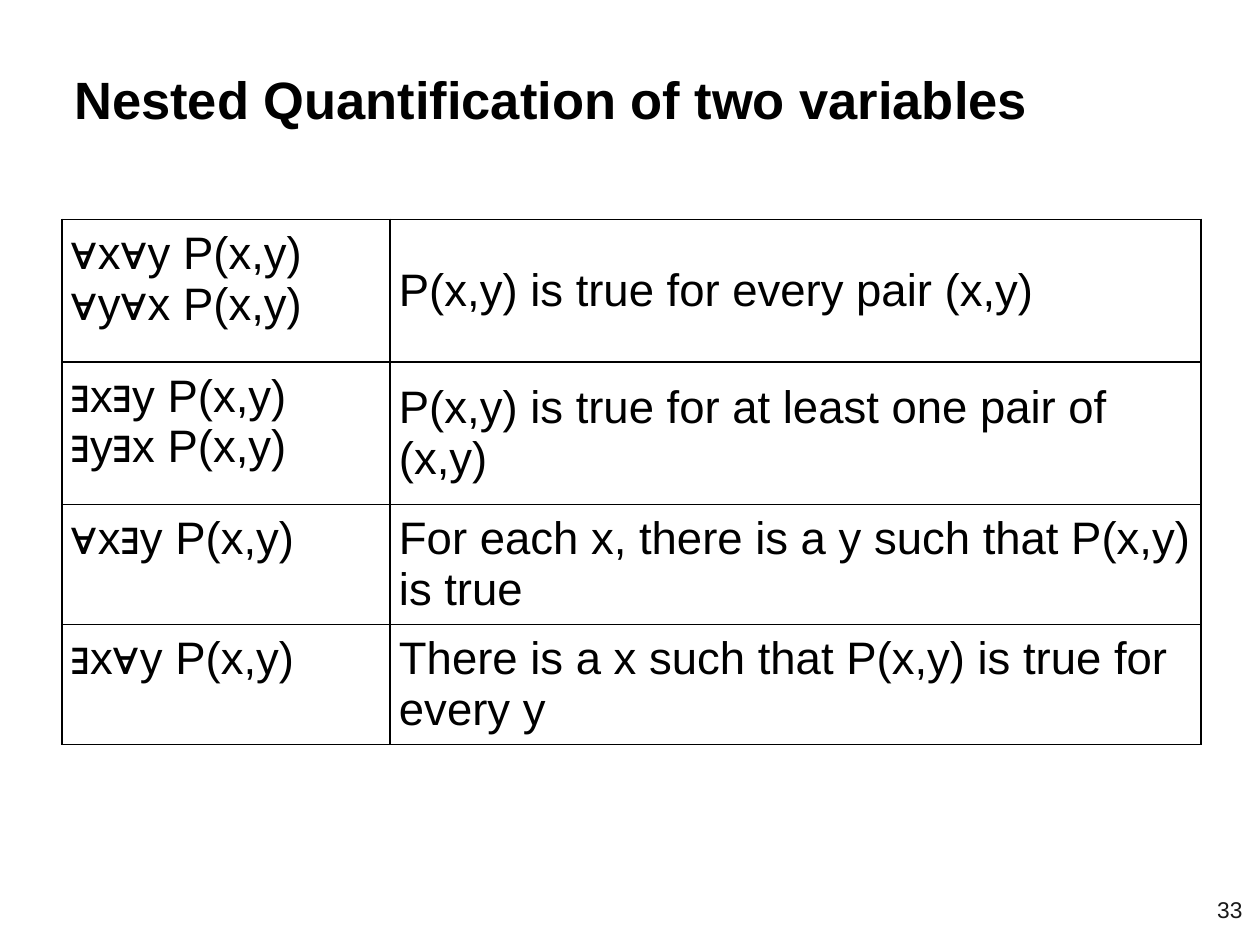
import pptx
import pptx.dml.color
import pptx.enum.text
import pptx.oxml
import pptx.oxml.ns
import pptx.util
from pptx.util import Pt

BLACK = pptx.dml.color.RGBColor(0x00, 0x00, 0x00)
DARK_GRAY = pptx.dml.color.RGBColor(0x19, 0x19, 0x19)
MIDDLE = pptx.enum.text.MSO_ANCHOR.MIDDLE
TOP = pptx.enum.text.MSO_ANCHOR.TOP


def add_run(paragraph, text, size, color, bold=False):
    run = paragraph.add_run()
    run.text = text
    run.font.name = "Arial"
    run.font.size = Pt(size)
    run.font.bold = bold
    run.font.color.rgb = color


def add_text_box(left, top, width, height, anchor):
    text_frame = slide.shapes.add_textbox(Pt(left), Pt(top), Pt(width), Pt(height)).text_frame
    text_frame.word_wrap = True
    text_frame.vertical_anchor = anchor
    text_frame.margin_left = text_frame.margin_right = Pt(7.2)
    text_frame.margin_top = text_frame.margin_bottom = Pt(7.2)
    return text_frame.paragraphs[0]


presentation = pptx.Presentation()
presentation.slide_width = Pt(720)
presentation.slide_height = Pt(540)
slide = presentation.slides.add_slide(presentation.slide_layouts[6])

rows = [
    (81.5, MIDDLE, [["∀x∀y P(x,y)"], ["∀y∀x P(x,y)"]], "P(x,y) is true for every pair (x,y)"),
    (81.5, MIDDLE, [["∃", "x", "∃", "y P(x,y)"], ["∃", "y", "∃", "x P(x,y)"]],
     "P(x,y) is true for at least one pair of (x,y)"),
    (51, TOP, [["∀x", "∃", "y P(x,y)"]], "For each x, there is a y such that P(x,y) is true"),
    (51, TOP, [["∃", "x∀y P(x,y)"]], "There is a x such that P(x,y) is true for every y"),
]
column_widths = [187.5, 463.5]
table = slide.shapes.add_table(
    len(rows), 2, Pt(35.3), Pt(125.3), Pt(sum(column_widths)), Pt(sum(row[0] for row in rows))
).table
table.first_row = False
table.horz_banding = False
for column, width in zip(table.columns, column_widths):
    column.width = Pt(width)

for row_index, (height, anchor, formulas, meaning) in enumerate(rows):
    table.rows[row_index].height = Pt(height)
    for column_index, lines in enumerate([formulas, [[meaning]]]):
        cell = table.cell(row_index, column_index)
        cell.fill.background()
        cell.vertical_anchor = anchor if column_index else TOP
        cell.margin_left = cell.margin_right = Pt(5.2)
        cell.margin_top = cell.margin_bottom = Pt(5.2)
        for line_index, line in enumerate(lines):
            text_frame = cell.text_frame
            paragraph = text_frame.add_paragraph() if line_index else text_frame.paragraphs[0]
            for text in line:
                add_run(paragraph, text, 26, BLACK, text == "∃")
        properties = cell._tc.get_or_add_tcPr()
        for position, side in enumerate(["lnL", "lnR", "lnT", "lnB"]):
            border = pptx.oxml.parse_xml(
                f'<a:{side} {pptx.oxml.ns.nsdecls("a")} w="{Pt(1)}"><a:solidFill>'
                f'<a:srgbClr val="{BLACK}"/></a:solidFill></a:{side}>'
            )
            properties.insert(position, border)

title = add_text_box(35.3, 26, 649.5, 67, TOP)
title.line_spacing = 1.15
add_run(title, "Nested Quantification of two variables", 30, BLACK, True)

page_number = add_text_box(674, 499, 43, 41, MIDDLE)
page_number.alignment = pptx.enum.text.PP_ALIGN.RIGHT
add_run(page_number, "33", 13, DARK_GRAY)

presentation.save("out.pptx")
